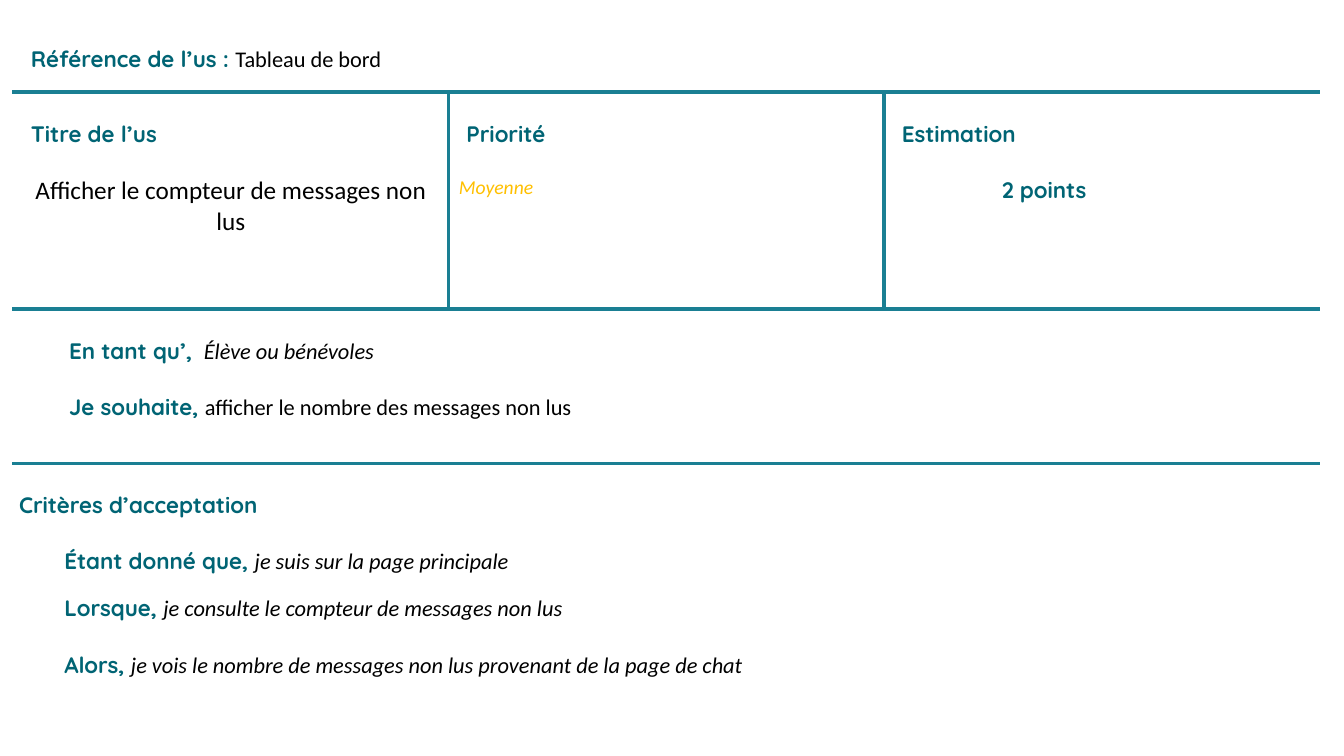
import pptx
import pptx.dml.color
import pptx.enum.text
import pptx.util
from lxml import etree
from pptx.oxml.ns import qn

Cm = pptx.util.Cm
Pt = pptx.util.Pt
PETROL, TEAL, BLACK, AMBER, WHITE = "006474", "1A7F93", "000000", "FFC000", "FFFFFF"
ROW_HEIGHTS = (1.89, 5.47, 3.89, 6.13)
LINE_GAP = 20
HEADING_INDENT, ROLE_INDENT, CRITERION_INDENT = 0.3, 1.26, 1.14


def color(hex_code):
    return pptx.dml.color.RGBColor.from_string(hex_code)


def label(text):
    return text, "Quicksand", 16, PETROL, True, False


def detail(text, size=16, hex_code=BLACK, italic=False):
    return text, "Calibri", size, hex_code, False, italic


def style(font, name, size, hex_code, bold, italic):
    font.name, font.size = name, Pt(size)
    font.bold, font.italic = bold, italic
    font.color.rgb = color(hex_code)


def write(cell, lines):
    for number, (indent, gap, centered, pieces) in enumerate(lines):
        frame = cell.text_frame
        paragraph = frame.add_paragraph() if number else frame.paragraphs[0]
        paragraph.space_before = Pt(gap if number else 0)
        if indent:
            paragraph._p.get_or_add_pPr().set("marL", str(Cm(indent)))
        if centered:
            paragraph.alignment = pptx.enum.text.PP_ALIGN.CENTER
        for text, *look in pieces:
            run = paragraph.add_run()
            run.text = text
            style(paragraph.font if len(pieces) == 1 else run.font, *look)


def line(*pieces, indent=0, gap=LINE_GAP, centered=False):
    return indent, gap, centered, pieces


def add_border(cell, side):
    border = etree.SubElement(cell._tc.get_or_add_tcPr(), qn("a:ln" + side), w=str(Pt(3)))
    fill = etree.SubElement(border, qn("a:solidFill"))
    etree.SubElement(fill, qn("a:srgbClr"), val=TEAL)


def format_cell(cell, row, column):
    cell.margin_left = cell.margin_right = Cm(0.15)
    cell.margin_top, cell.margin_bottom = Cm(0.7), 0
    sides = {
        "L": row == 1 and column > 0,
        "R": row == 1 and column < 2,
        "T": row > 0,
        "B": row < len(ROW_HEIGHTS) - 1,
    }
    for side, shown in sides.items():
        if shown:
            add_border(cell, side)
    cell.fill.solid()
    cell.fill.fore_color.rgb = color(WHITE)


def fill_reference(table):
    write(table.cell(0, 0), [
        line(label("Référence de l’us\u00a0: "), detail("Tableau de bord"), indent=HEADING_INDENT)])


def fill_summary(table):
    summary = (
        ("Titre de l’us",
         line(detail("Afficher le compteur de messages non lus", 18), centered=True)),
        ("Priorité", line(detail("Moyenne", 14, AMBER, True), indent=0.11)),
        ("Estimation", line(label("2 points"), indent=2.82)),
    )
    for column, (heading, value) in enumerate(summary):
        write(table.cell(1, column), [line(label(heading), indent=HEADING_INDENT), value])


def fill_story(table):
    write(table.cell(2, 0), [
        line(label("En tant qu’, "), detail("\u00a0Élève ou bénévoles", italic=True),
             indent=ROLE_INDENT),
        line(label("Je souhaite, "), detail("afficher le nombre des messages non lus"),
             indent=ROLE_INDENT),
    ])


def fill_criteria(table):
    criteria = (
        ("Étant donné que, ", "je suis sur la page principale", LINE_GAP),
        ("Lorsque, ", "je consulte le compteur de messages non lus", 13.5),
        ("Alors, ", "je vois le nombre de messages non lus provenant de la page de chat",
         LINE_GAP),
    )
    write(table.cell(3, 0), [line(label("Critères d’acceptation"))] + [
        line(label(step), detail(text, italic=True), indent=CRITERION_INDENT, gap=gap)
        for step, text, gap in criteria])


def add_user_story(slide, left, top, width):
    table = slide.shapes.add_table(
        len(ROW_HEIGHTS), 3, Cm(left), Cm(top), Cm(width), Cm(sum(ROW_HEIGHTS))).table
    table.first_row = table.horz_banding = False
    for row, height in enumerate(ROW_HEIGHTS):
        table.rows[row].height = Cm(height)
        for column in range(3):
            format_cell(table.cell(row, column), row, column)
        if row != 1:
            table.cell(row, 0).merge(table.cell(row, 2))
    for fill_region in (fill_reference, fill_summary, fill_story, fill_criteria):
        fill_region(table)


presentation = pptx.Presentation()
presentation.slide_width, presentation.slide_height = Cm(33.87), Cm(19.05)
story_slide = presentation.slides.add_slide(presentation.slide_layouts[6])
add_user_story(story_slide, 0.33, 0.43, 32.92)
presentation.save("out.pptx")
